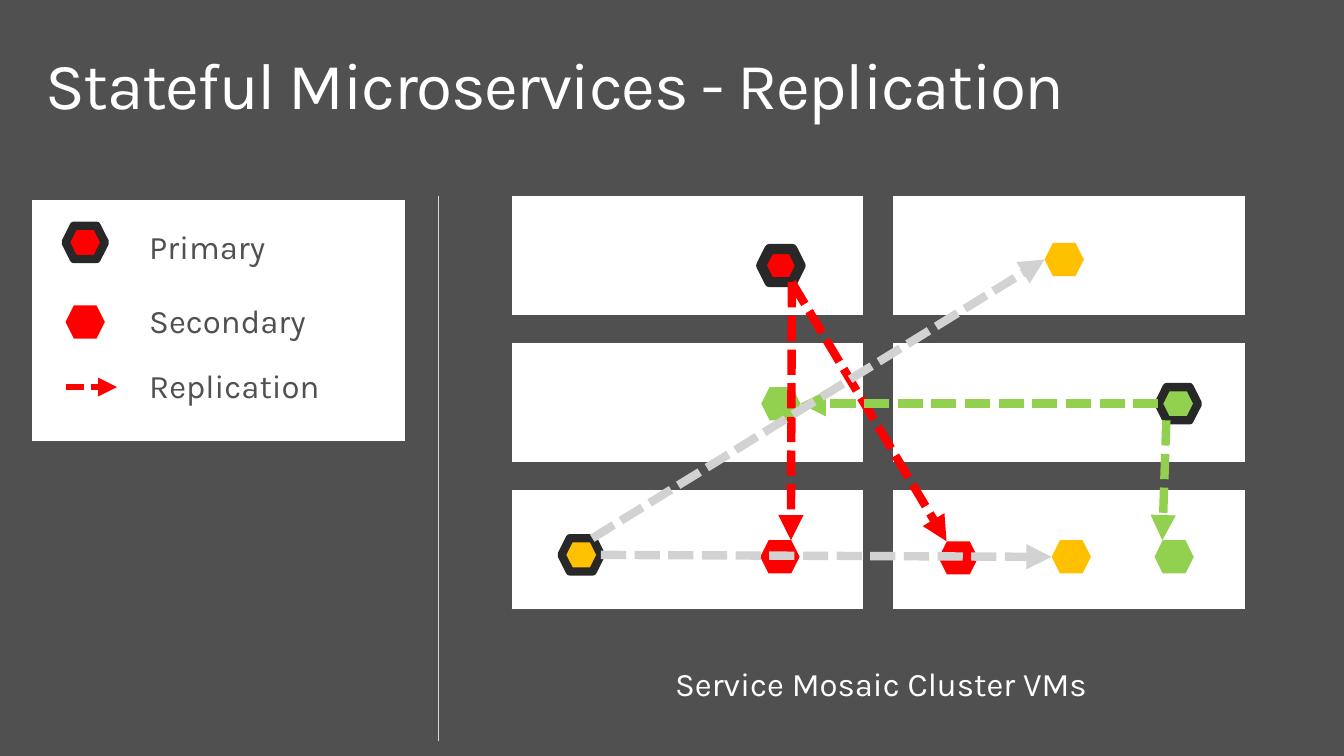
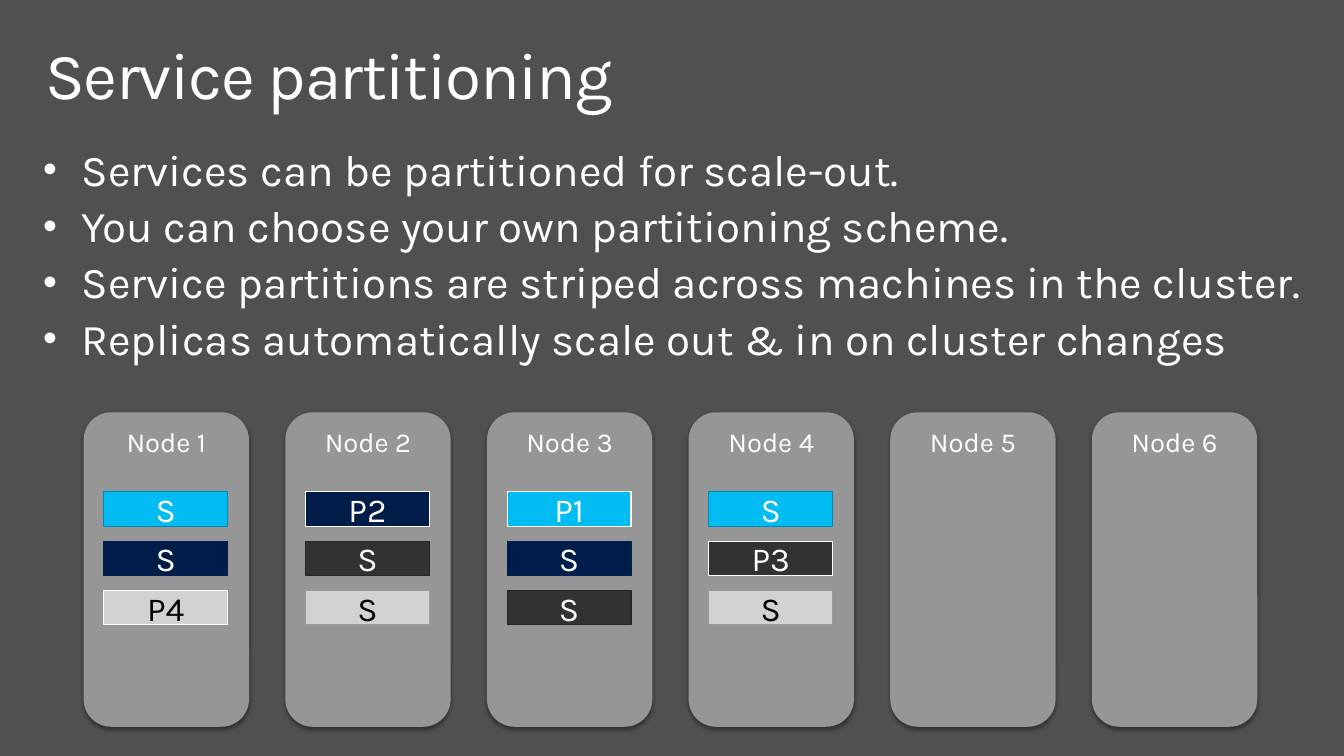
from lxml import etree
from pptx import Presentation
from pptx.dml.color import RGBColor
from pptx.enum.dml import MSO_LINE
from pptx.enum.shapes import MSO_CONNECTOR, MSO_SHAPE
from pptx.enum.text import MSO_ANCHOR, MSO_AUTO_SIZE, PP_ALIGN
from pptx.oxml.ns import qn
from pptx.util import Inches, Pt

RECT, ROUND, HEX = MSO_SHAPE.RECTANGLE, MSO_SHAPE.ROUNDED_RECTANGLE, MSO_SHAPE.HEXAGON
LEFT, CENTER = PP_ALIGN.LEFT, PP_ALIGN.CENTER
TOP, MIDDLE = MSO_ANCHOR.TOP, MSO_ANCHOR.MIDDLE
FONT = "Karla"
HUES = {"back": "505050", "white": "FFFFFF", "black": "000000", "rim": "282828",
        "red": "FF0000", "green": "92D050", "gold": "FFC000", "pale": "D2D2D2",
        "rule": "D9D9D9", "node": "969696", "sky": "00BCF2", "navy": "001D49",
        "coal": "323232", "sky rim": "008BB3", "navy rim": "002050",
        "coal rim": "252525", "pale rim": "9B9B9B"}

# Content: replication slide
TITLE_1 = "Stateful Microservices - Replication"
CAPTION = "Service Mosaic Cluster VMs"
HEX_W, HEX_H = 0.39, 0.33
# name: left, top, colour, rim width
REPLICAS = {
    "red main": (7.55, 2.47, "red", 7.25), "red left": (7.54, 5.36, "red", 0),
    "red right": (9.31, 5.37, "red", 0),
    "green main": (11.49, 3.84, "green", 6), "green left": (7.55, 3.84, "green", 0),
    "green low": (11.45, 5.36, "green", 0),
    "gold main": (5.57, 5.34, "gold", 6), "gold top": (10.36, 2.41, "gold", 0),
    "gold low": (10.43, 5.36, "gold", 0)}
# Points on a hexagon, as shares of its width and height
SPOTS = {"left": (0, 0.5), "right": (1, 0.5), "top left": (0.2, 0),
         "top right": (0.78, 0), "low left": (0.2, 1), "low right": (0.78, 1)}
ARROWS = [("red main", "low right", "red right", "top left", "red"),
          ("red main", "low right", "red left", "top right", "red"),
          ("green main", "low left", "green low", "top left", "green"),
          ("green main", "left", "green left", "right", "green"),
          ("gold main", "top right", "gold top", "left", "pale"),
          ("gold main", "right", "gold low", "left", "pale")]
LEGEND = [("Primary", 2.13), ("Secondary", 2.87), ("Replication", 3.51)]

# Content: partitioning slide
TITLE_2 = "Service partitioning"
POINTS = ["Services can be partitioned for scale-out.",
          "You can choose your own partitioning scheme.",
          "Service partitions are striped across machines in the cluster.",
          "Replicas automatically scale out & in on cluster changes"]
NODES = [[("S", "sky"), ("S", "navy"), ("P4", "pale")],
         [("P2", "navy"), ("S", "coal"), ("S", "pale")],
         [("P1", "sky"), ("S", "navy"), ("S", "coal")],
         [("S", "sky"), ("P3", "coal"), ("S", "pale")],
         [], []]


# Shared helpers
def hue(name):
    return RGBColor.from_string(HUES[name])


def add_xml(parent, tag, **attrs):
    return etree.SubElement(parent, qn(tag), attrs)


def style(frame, size, color, align=LEFT, anchor=TOP, pad=(0.1, 0.05), line=None, after=0):
    frame.word_wrap = True
    frame.auto_size = MSO_AUTO_SIZE.NONE
    frame.vertical_anchor = anchor
    frame.margin_left = frame.margin_right = Inches(pad[0])
    frame.margin_top = frame.margin_bottom = Inches(pad[1])
    for para in frame.paragraphs:
        para.alignment = align
        para.line_spacing = line
        para.space_after = Pt(after)
        for run in para.runs:
            run.font.name = FONT
            run.font.size = Pt(size)
            run.font.color.rgb = hue(color)


def new_slide(title, top):
    slide = deck.slides.add_slide(deck.slide_layouts[5])
    slide.background.fill.solid()
    slide.background.fill.fore_color.rgb = hue("back")
    head = slide.shapes.title
    head.left, head.top, head.width, head.height = map(Inches, (0.29, top, 12.75, 0.97))
    head.text_frame.text = title
    style(head.text_frame, 47, "white", pad=(0.16, 0.1), line=0.9)
    head.text_frame.paragraphs[0].runs[0].font._element.set("spc", "-100")
    return slide


def add_box(slide, kind, box, fill, rim=None, width=0.85):
    shape = slide.shapes.add_shape(kind, *map(Inches, box))
    shape.shadow.inherit = False
    shape.fill.solid()
    shape.fill.fore_color.rgb = hue(fill)
    if rim:
        shape.line.color.rgb = hue(rim)
        shape.line.width = Pt(width)
    else:
        shape.line.fill.background()
    return shape


def add_hex(slide, left, top, fill, width):
    add_box(slide, HEX, (left, top, HEX_W, HEX_H), fill, "rim" if width else None, width)


def add_line(slide, start, end, color, width, arrow=True):
    ends = map(Inches, (*start, *end))
    link = slide.shapes.add_connector(MSO_CONNECTOR.STRAIGHT, *ends)
    link.line.color.rgb = hue(color)
    link.line.width = Pt(width)
    if arrow:
        link.line.dash_style = MSO_LINE.SQUARE_DOT
        add_xml(link.line._get_or_add_ln(), "a:tailEnd", type="triangle")
    add_xml(link._element.spPr, "a:effectLst")


def add_label(slide, text, box, color, align=LEFT):
    label = slide.shapes.add_textbox(*map(Inches, box))
    label.text_frame.text = text
    style(label.text_frame, 23.5, color, align, pad=(0.2, 0.16), line=0.9, after=5.9)


def add_shadow(shape):
    effects = shape._element.spPr.find(qn("a:effectLst"))
    shade = add_xml(effects, "a:outerShdw", blurRad=str(Pt(3)), dist=str(Pt(2)),
                    dir="5400000", rotWithShape="0")
    tint = add_xml(shade, "a:srgbClr", val=HUES["black"])
    add_xml(tint, "a:alpha", val="40000")


def spot(name, place):
    left, top = REPLICAS[name][:2]
    across, down = SPOTS[place]
    return left + across * HEX_W, top + down * HEX_H


deck = Presentation()
deck.slide_width, deck.slide_height = Inches(13.33), Inches(7.5)

# Replication: machines in a grid of two columns and three rows
slide = new_slide(TITLE_1, 0.42)
for row in range(3):
    for col in range(2):
        add_box(slide, RECT, (5.07 + 3.78 * col, 1.94 + 1.46 * row, 3.5, 1.19),
                "white", "back")
for replica in REPLICAS.values():
    add_hex(slide, *replica)
add_label(slide, CAPTION, (4.69, 6.47, 8.1, 0.67), "white", CENTER)

# Legend and divider
add_box(slide, RECT, (0.31, 1.98, 3.71, 2.4), "white", "back")
add_hex(slide, 0.65, 2.24, "red", 6)
add_hex(slide, 0.65, 3.03, "red", 0)
add_line(slide, (0.65, 3.84), (1.16, 3.84), "red", 4.5)
for text, top in LEGEND:
    add_label(slide, text, (1.28, top, 2.42, 0.67), "back")
add_line(slide, (4.35, 1.94), (4.35, 7.35), "rule", 1, arrow=False)

# Replication arrows
for source, leave, target, reach, color in ARROWS:
    add_line(slide, spot(source, leave), spot(target, reach), color, 6)

# Partitioning: nodes at an equal pitch, replicas stacked inside
slide = new_slide(TITLE_2, 0.32)
for col, stack in enumerate(NODES):
    left = 0.83 + 2 * col
    node = add_box(slide, ROUND, (left, 4.09, 1.64, 3.12), "node")
    add_shadow(node)
    node.text_frame.text = f"Node {col + 1}"
    style(node.text_frame, 19.6, "white", CENTER)
    for row, (text, color) in enumerate(stack):
        rim = "white" if text[0] == "P" else color + " rim"
        part = add_box(slide, RECT, (left + 0.2, 4.88 + 0.49 * row, 1.23, 0.34), color, rim)
        part.text_frame.text = text
        ink = "black" if color == "pale" else "white"
        style(part.text_frame, 24, ink, CENTER, MIDDLE, pad=(0, 0))

# Bullet list
body = slide.shapes.add_textbox(*map(Inches, (0.33, 1.42, 13.0, 2))).text_frame
body.text = "\n".join(POINTS)
style(body, 31.4, "white", line=0.9)
for para in body.paragraphs:
    para.space_before = Pt(6.3)
    props = para._p.get_or_add_pPr()
    props.set("marL", str(Inches(0.38)))
    props.set("indent", str(-Inches(0.38)))
    tint = add_xml(props, "a:buClr")
    add_xml(tint, "a:srgbClr", val=HUES["white"])
    add_xml(props, "a:buSzPct", val="90000")
    add_xml(props, "a:buFont", typeface="Arial")
    add_xml(props, "a:buChar", char="•")

deck.save("out.pptx")
